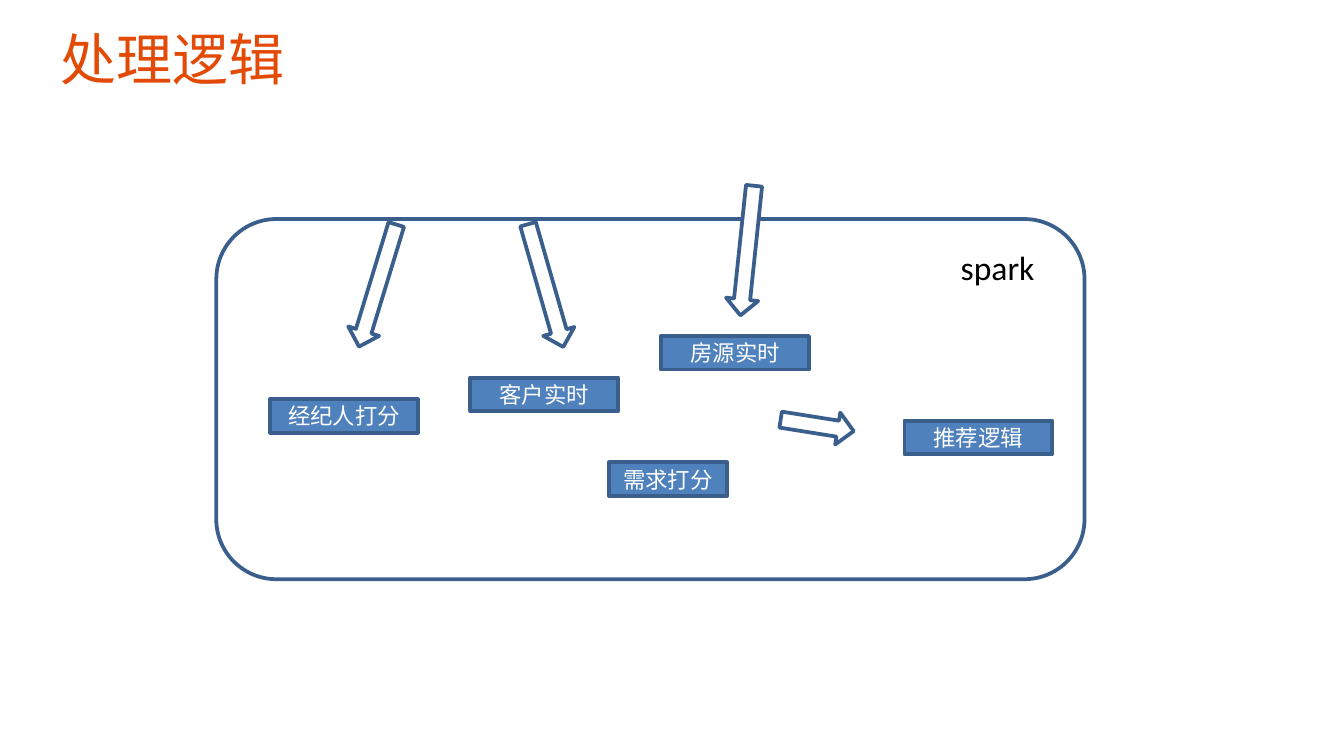
import dataclasses

import pptx
import pptx.dml.color
import pptx.enum.shapes
import pptx.enum.text
import pptx.oxml
import pptx.oxml.ns
import pptx.util
from pptx.util import Inches

Shape = pptx.enum.shapes.MSO_SHAPE


@dataclasses.dataclass(frozen=True)
class Theme:
    title: str = "E24A05"
    ink: str = "000000"
    paper: str = "FFFFFF"
    step: str = "4F81BD"
    outline: str = "3A5F8C"
    latin: str = "Calibri"
    chinese: str = "Noto Sans CJK SC"
    title_size: int = 30
    label_size: int = 18
    step_size: int = 12
    line_width: int = 2


@dataclasses.dataclass(frozen=True)
class Frame:
    left: float
    top: float
    width: float
    height: float

    def lengths(self) -> list[int]:
        return [Inches(value) for value in dataclasses.astuple(self)]


@dataclasses.dataclass(frozen=True)
class Step:
    text: str
    left: float
    top: float
    width: float = 1.1
    height: float = 0.25


@dataclasses.dataclass(frozen=True)
class Arrow:
    left: float
    top: float
    length: float
    rotation: int
    width: float = 0.24


THEME = Theme()

STEPS = [
    Step("需求打分", 4.53, 3.44, width=0.88),
    Step("经纪人打分", 2.01, 2.97),
    Step("客户实时", 3.5, 2.81),
    Step("房源实时", 4.92, 2.5),
    Step("推荐逻辑", 6.73, 3.13),
]

ARROWS = [
    Arrow(2.69, 1.65, 0.95, 17),
    Arrow(3.94, 1.65, 0.95, 344),
    Arrow(5.44, 1.38, 0.97, 6),
    Arrow(5.96, 2.89, 0.55, 279),
]


def rgb(value: str) -> pptx.dml.color.RGBColor:
    return pptx.dml.color.RGBColor.from_string(value)


def write(frame, text: str, size: int, color: str, latin: str = THEME.latin) -> None:
    """Fill a text frame with one line, with a Chinese font beside the Latin one."""
    frame.word_wrap = True
    frame.text = text
    for span in frame.paragraphs[0].runs:
        span.font.name = latin
        span.font.size = pptx.util.Pt(size)
        span.font.color.rgb = rgb(color)
        east_asian = pptx.oxml.parse_xml(
            f'<a:ea {pptx.oxml.ns.nsdecls("a")} typeface="{THEME.chinese}"/>'
        )
        span.font._element.find(pptx.oxml.ns.qn("a:latin")).addnext(east_asian)


def add_outlined(page, preset: Shape, frame: Frame, fill: str = THEME.paper):
    shape = page.shapes.add_shape(preset, *frame.lengths())
    shape.shadow.inherit = False
    shape.fill.solid()
    shape.fill.fore_color.rgb = rgb(fill)
    shape.line.color.rgb = rgb(THEME.outline)
    shape.line.width = pptx.util.Pt(THEME.line_width)
    return shape


def add_step(page, step: Step) -> None:
    frame = Frame(step.left, step.top, step.width, step.height)
    box = add_outlined(page, Shape.RECTANGLE, frame, THEME.step)
    text_frame = box.text_frame
    text_frame.margin_left = text_frame.margin_right = Inches(0)
    text_frame.margin_top = text_frame.margin_bottom = Inches(0)
    text_frame.vertical_anchor = pptx.enum.text.MSO_ANCHOR.MIDDLE
    write(text_frame, step.text, THEME.step_size, THEME.paper)
    text_frame.paragraphs[0].alignment = pptx.enum.text.PP_ALIGN.CENTER


def add_arrow(page, arrow: Arrow) -> None:
    frame = Frame(arrow.left, arrow.top, arrow.width, arrow.length)
    add_outlined(page, Shape.DOWN_ARROW, frame).rotation = arrow.rotation


def main() -> None:
    deck = pptx.Presentation()
    deck.slide_width = Inches(10)
    deck.slide_height = deck.slide_width * 9 // 16
    page = deck.slides.add_slide(deck.slide_layouts[6])

    title = page.shapes.add_textbox(*Frame(0.35, 0.14, 8.5, 0.71).lengths())
    title.text_frame.margin_top = Inches(0.04)
    write(title.text_frame, "处理逻辑", THEME.title_size, THEME.title, THEME.chinese)

    add_outlined(page, Shape.ROUNDED_RECTANGLE, Frame(1.61, 1.63, 6.46, 2.68))
    label = page.shapes.add_textbox(*Frame(7.05, 1.79, 1.14, 0.4).lengths())
    write(label.text_frame, "spark", THEME.label_size, THEME.ink)

    for step in STEPS:
        add_step(page, step)
    for arrow in ARROWS:
        add_arrow(page, arrow)

    deck.save("out.pptx")


if __name__ == "__main__":
    main()
